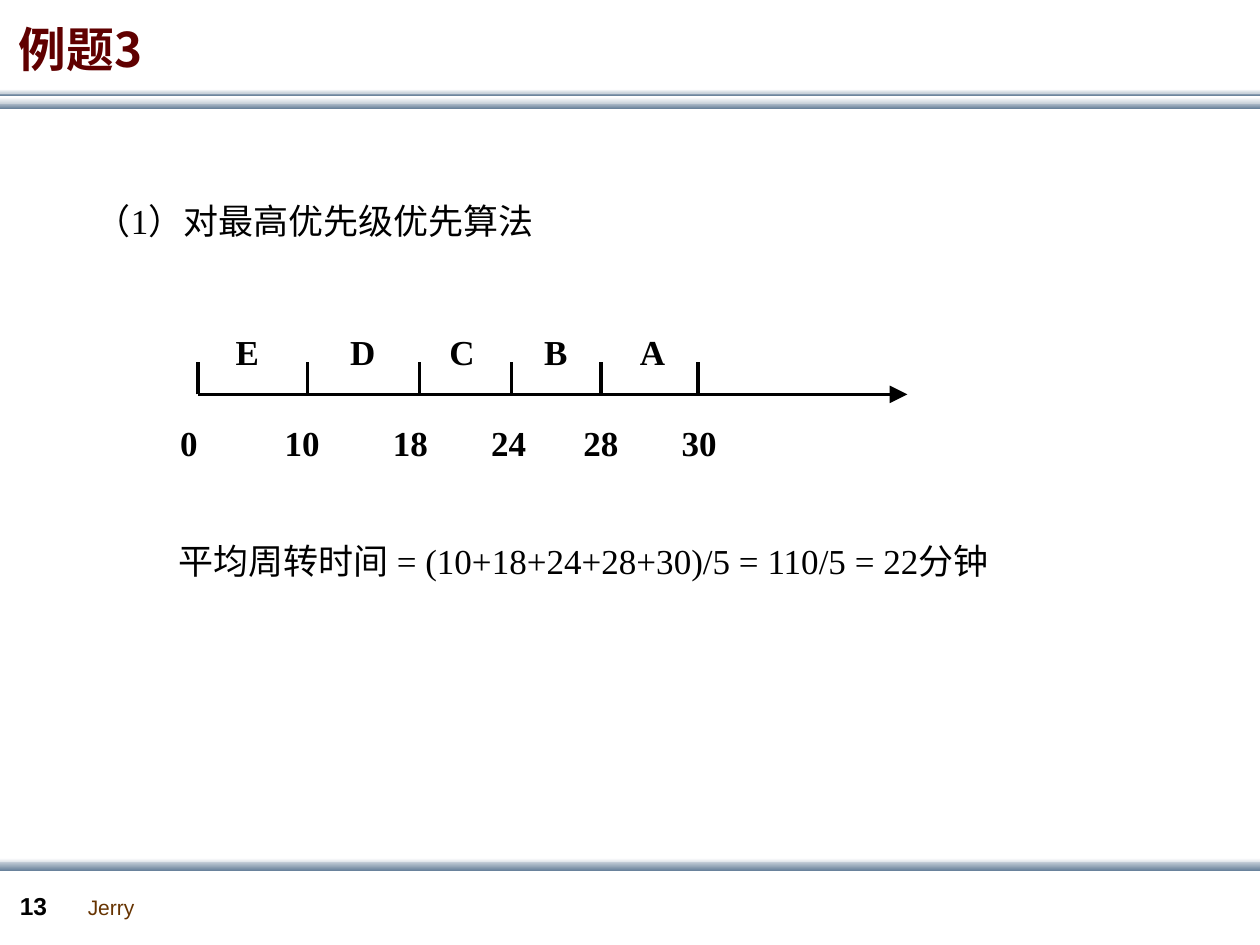
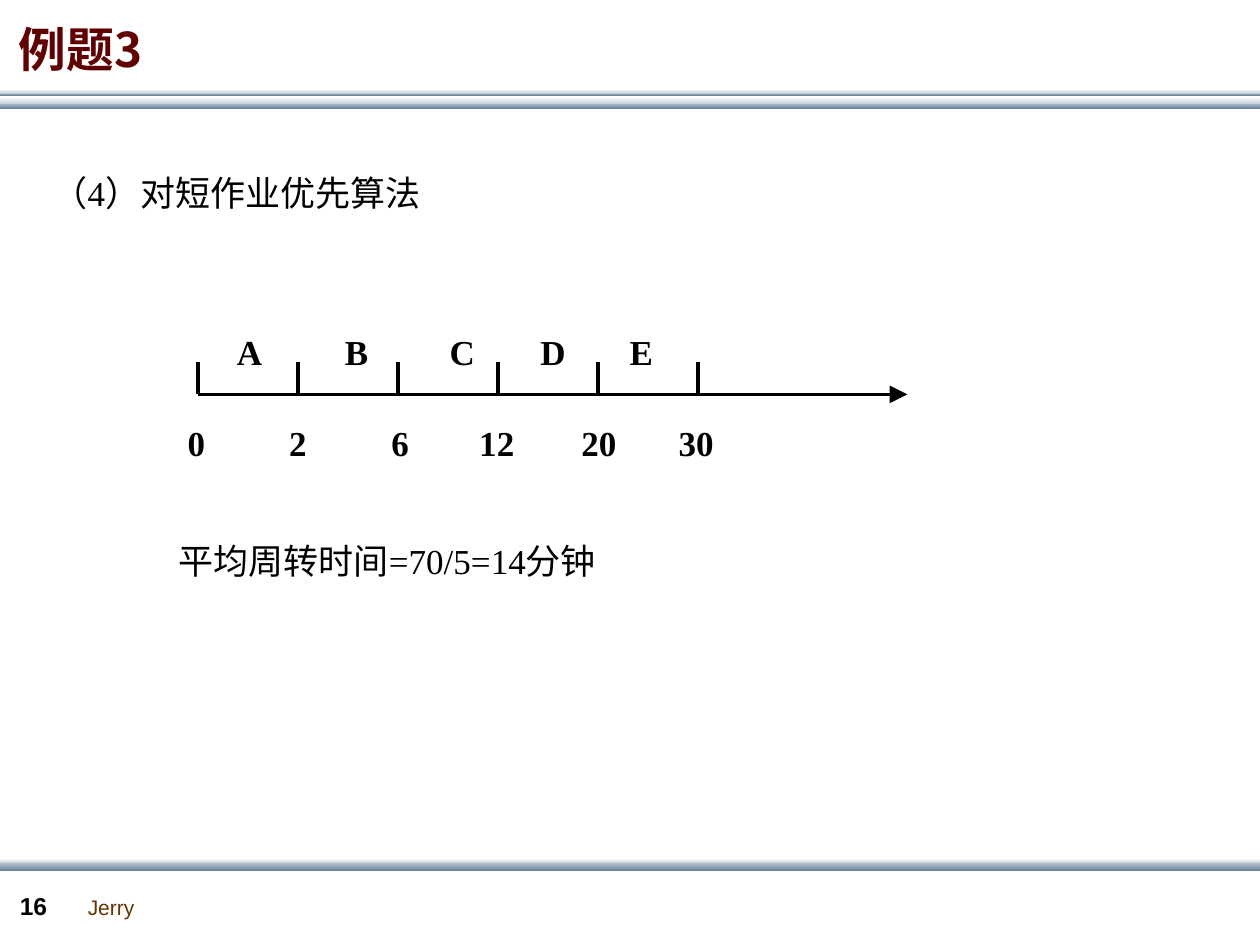
from lxml import etree
from pptx import Presentation
from pptx.dml.color import RGBColor
from pptx.enum.shapes import MSO_CONNECTOR, MSO_SHAPE
from pptx.enum.text import MSO_ANCHOR, MSO_AUTO_SIZE, PP_ALIGN
from pptx.oxml.ns import qn
from pptx.util import Cm, Pt

STRAIGHT = MSO_CONNECTOR.STRAIGHT
RECTANGLE = MSO_SHAPE.RECTANGLE
TOP, MIDDLE = MSO_ANCHOR.TOP, MSO_ANCHOR.MIDDLE
LEFT, CENTER = PP_ALIGN.LEFT, PP_ALIGN.CENTER
NO_AUTOSIZE = MSO_AUTO_SIZE.NONE

COLORS = {
    "title": "600000",
    "ink": "000000",
    "footer": "663300",
    "white": "FFFFFF",
    "mist": "C8D1DA",
    "steel": "6A839C",
}
SERIF, SANS, CJK = "Times New Roman", "Arial", "Noto Sans CJK SC"

# Stacked from back to front: top, height, upper colour, lower colour
BANDS = [
    (2.06, 0.13, "mist", "steel"),
    (1.85, 0.08, "mist", "steel"),
    (1.96, 0.13, "white", "mist"),
    (1.80, 0.08, "white", "mist"),
    (17.30, 0.13, "white", "mist"),
    (17.37, 0.18, "mist", "steel"),
]

AXIS_START, AXIS_END, AXIS_Y = 3.99, 18.29, 7.95
TICK_TOP = 7.30
JOB_TOP, TIME_TOP, LABEL_HEIGHT = 6.53, 8.36, 1.12

SCHEDULES = [
    {
        "number": "13",
        "heading": "（1）对最高优先级优先算法",
        "heading_at": (1.68, 3.89),
        "result": "平均周转时间 = (10+18+24+28+30)/5 = 110/5 = 22分钟",
        "ticks": [AXIS_START, 6.20, 8.46, 10.31, 12.12, 14.07],
        "jobs": zip("EDCBA", [4.50, 6.81, 8.81, 10.72, 12.65]),
        "times": zip(["0", "10", "18", "24", "28", "30"],
                     [3.38, 5.49, 7.67, 9.65, 11.51, 13.49]),
        "align": LEFT,
    },
    {
        "number": "16",
        "heading": "（4）对短作业优先算法",
        "heading_at": (0.81, 3.33),
        "result": "平均周转时间=70/5=14分钟",
        "ticks": [AXIS_START + 2.016 * i for i in range(6)],
        "jobs": zip("ABCDE", [4.32, 6.48, 8.61, 10.44, 12.22]),
        "times": zip(["0", "2", "6", "12", "20", "30"],
                     [3.35, 5.13, 7.19, 9.14, 11.20, 13.16]),
        "align": CENTER,
    },
]


def write_text(shape, text, size=20, color="ink", font=SERIF, bold=False,
               align=LEFT, anchor=TOP):
    frame = shape.text_frame
    frame.word_wrap = True
    frame.auto_size = NO_AUTOSIZE
    frame.vertical_anchor = anchor
    frame.margin_left = frame.margin_right = Cm(0.25)
    frame.margin_top = frame.margin_bottom = Cm(0.13)
    paragraph = frame.paragraphs[0]
    paragraph.alignment = align
    run = paragraph.add_run()
    run.text = text
    run.font.size = Pt(size)
    run.font.bold = bold
    run.font.color.rgb = RGBColor.from_string(COLORS[color])
    run.font.name = font
    east_asian = etree.SubElement(run._r.get_or_add_rPr(), qn("a:ea"))
    east_asian.set("typeface", CJK)


def add_line(slide, x1, y1, x2, y2):
    line = slide.shapes.add_connector(STRAIGHT, Cm(x1), Cm(y1), Cm(x2), Cm(y2))
    line.line.width = Pt(2)
    line.line.color.rgb = RGBColor.from_string(COLORS["ink"])
    etree.SubElement(line.element.spPr, qn("a:effectLst"))
    return line


deck = Presentation()
deck.slide_width, deck.slide_height = Cm(25.4), Cm(19.05)
title_only = deck.slide_layouts[5]
slides = [deck.slides.add_slide(title_only) for _ in SCHEDULES]

# Bands and author are drawn on the first slide, then moved to the shared layout
shared = []
for top, height, upper, lower in BANDS:
    band = slides[0].shapes.add_shape(RECTANGLE, 0, Cm(top), Cm(25.43), Cm(height))
    band.shadow.inherit = False
    band.line.fill.background()
    band.fill.gradient()
    band.fill.gradient_angle = 270
    for stop, color in zip(band.fill.gradient_stops, (upper, lower)):
        stop.color.rgb = RGBColor.from_string(COLORS[color])
    shared.append(band)
author = slides[0].shapes.add_textbox(Cm(1.52), Cm(17.91), Cm(1.45), Cm(0.76))
write_text(author, "Jerry", 12, "footer", SANS)
author.text_frame.word_wrap = False
shared.append(author)
for part in shared:
    title_only.shapes.element.append(part.element)

for slide, schedule in zip(slides, SCHEDULES):
    title = slide.shapes.title
    title.left, title.top, title.width, title.height = Cm(0.13), Cm(0), Cm(3.45), Cm(2.11)
    write_text(title, "例题3", 27.2, "title", CJK, bold=True, anchor=MIDDLE)
    title.text_frame.paragraphs[0].line_spacing = 0.9

    page_number = slide.shapes.add_textbox(Cm(0.15), Cm(17.83), Cm(1.4), Cm(0.86))
    write_text(page_number, schedule["number"], 14, font=SANS, bold=True)

    left, top = schedule["heading_at"]
    heading = slide.shapes.add_textbox(Cm(left), Cm(top), Cm(21.31), Cm(1.12))
    write_text(heading, schedule["heading"])

    axis = add_line(slide, AXIS_START, AXIS_Y, AXIS_END, AXIS_Y)
    arrowhead = etree.SubElement(axis.line._get_or_add_ln(), qn("a:tailEnd"))
    for key, value in (("type", "triangle"), ("w", "lg"), ("len", "lg")):
        arrowhead.set(key, value)
    for x in schedule["ticks"]:
        add_line(slide, x, AXIS_Y, x, TICK_TOP)

    for labels, top, width in ((schedule["jobs"], JOB_TOP, 1.42),
                               (schedule["times"], TIME_TOP, 1.75)):
        for text, left in labels:
            label_width = 1.22 if text == "0" else width
            label = slide.shapes.add_textbox(Cm(left), Cm(top), Cm(label_width), Cm(LABEL_HEIGHT))
            write_text(label, text, bold=True, align=schedule["align"])

    result = slide.shapes.add_textbox(Cm(3.35), Cm(10.74), Cm(18.19), Cm(1.12))
    write_text(result, schedule["result"])

deck.save("out.pptx")
